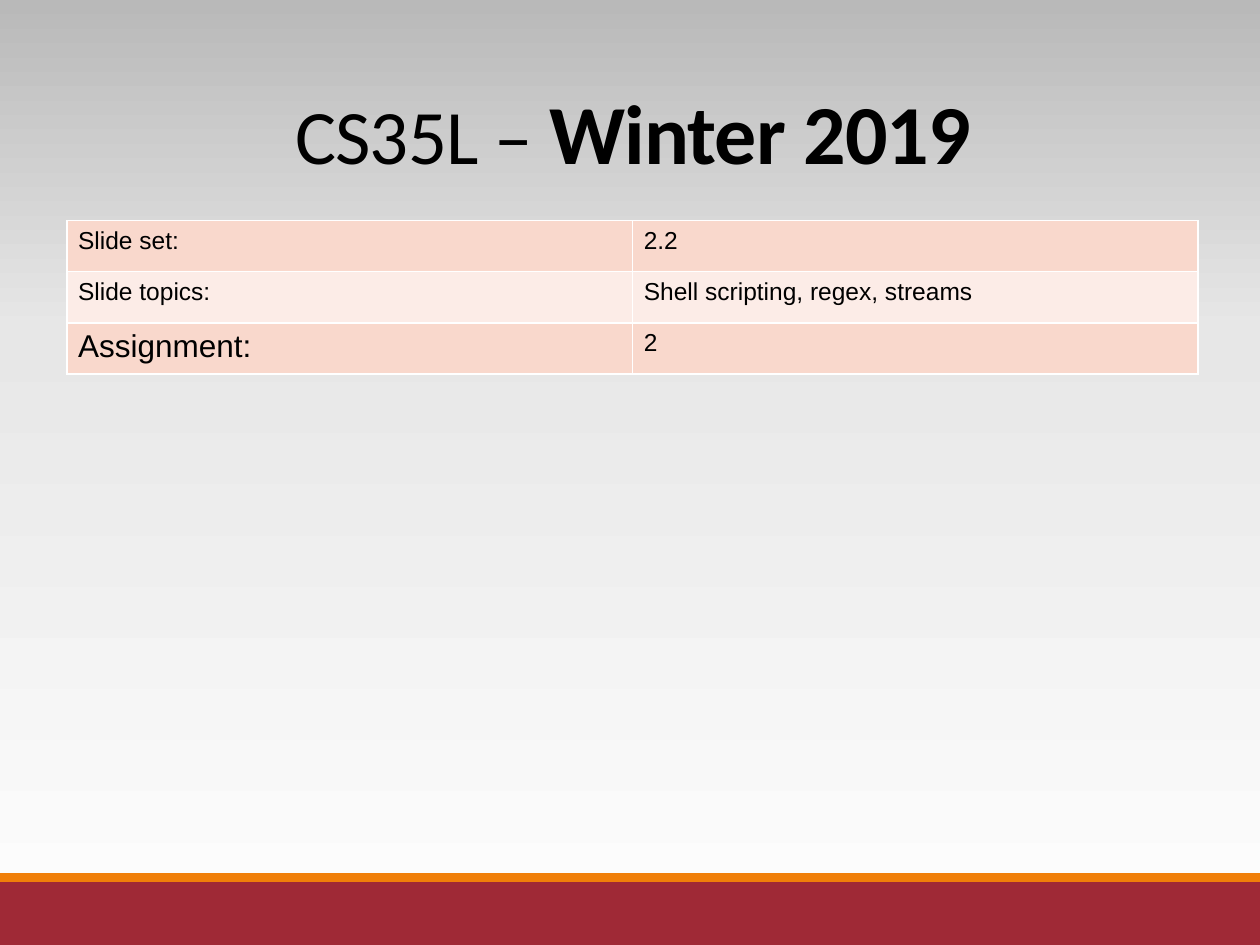
"""Build the course title slide with its slide-set table."""
from copy import deepcopy

from lxml.etree import SubElement
from pptx import Presentation
from pptx.dml.color import RGBColor
from pptx.enum.shapes import MSO_CONNECTOR, MSO_SHAPE
from pptx.enum.text import MSO_ANCHOR, MSO_AUTO_SIZE, PP_ALIGN
from pptx.oxml.ns import qn
from pptx.util import Inches, Pt


def color(value):
    """Return the colour for a hex string."""
    return RGBColor.from_string(value)


def add_borders(cell, value, width):
    """Draw a solid line on all four sides of a cell."""
    properties = cell._tc.get_or_add_tcPr()
    for index, side in enumerate(("a:lnL", "a:lnR", "a:lnT", "a:lnB")):
        line = properties.makeelement(qn(side), {"w": str(Pt(width))})
        properties.insert(index, line)
        solid = SubElement(line, qn("a:solidFill"))
        SubElement(solid, qn("a:srgbClr"), val=value)


presentation = Presentation()
presentation.slide_width = Inches(10)
presentation.slide_height = Inches(7.5)
slide = presentation.slides.add_slide(presentation.slide_layouts[5])

background = slide.background.fill
background.gradient()
background.gradient_angle = 90
stop_list = slide.element.find(".//" + qn("a:gsLst"))
stop_list.append(deepcopy(stop_list[-1]))
stops = ((0, "FEFEFE"), (0.65, "E7E7E7"), (1, "B9B9B9"))
for stop, (position, value) in zip(background.gradient_stops, stops):
    stop.position = position
    stop.color.rgb = color(value)

for top, height, value in ((7, 0.5, "9F2936"), (6.93, 0.07, "F07F09")):
    bar = slide.shapes.add_shape(
        MSO_SHAPE.RECTANGLE, 0, Inches(top), Inches(10), Inches(height))
    bar.shadow.inherit = False
    bar.fill.solid()
    bar.fill.fore_color.rgb = color(value)
    bar.line.fill.background()

rule = slide.shapes.add_connector(
    MSO_CONNECTOR.STRAIGHT, Inches(0.98), Inches(1.9), Inches(9.15), Inches(1.9))
rule.line.color.rgb = color("808080")
rule.line.width = Pt(0.5)
SubElement(rule._element.spPr, qn("a:effectLst"))

title = slide.shapes.title
title.left, title.top = Inches(0.9), Inches(0.31)
title.width, title.height = Inches(8.25), Inches(1.59)
title.text_frame.word_wrap = True
title.text_frame.auto_size = MSO_AUTO_SIZE.NONE
title.text_frame.vertical_anchor = MSO_ANCHOR.MIDDLE
paragraph = title.text_frame.paragraphs[0]
paragraph.alignment = PP_ALIGN.CENTER
paragraph.line_spacing = 0.85
paragraph.font.name = "Calibri"
paragraph.font.color.rgb = color("000000")
for text, size, bold in (("CS35L – ", 44, False), ("Winter 2019", 48, True)):
    run = paragraph.add_run()
    run.text = text
    run.font.size = Pt(size)
    run.font.bold = bold
    run.font.name = "Calibri"
    run.font.color.rgb = color("000000")
    run._r.get_or_add_rPr().set("spc", "-50")

rows = (
    (("Slide set:", 14), ("2.2", 14)),
    (("Slide topics:", 14), ("Shell scripting, regex, streams", 14)),
    (("Assignment:", 18), ("2", 14)),
)
band_fills = ("F9D8CC", "FCECE7")
table = slide.shapes.add_table(
    len(rows), 2, Inches(0.53), Inches(1.75), Inches(8.98), Inches(1.22)).table
table.first_row = False
for row_index, row in enumerate(rows):
    for column_index, (text, size) in enumerate(row):
        cell = table.cell(row_index, column_index)
        cell.text = text
        cell.margin_left = cell.margin_right = Inches(0.09)
        cell.margin_top = cell.margin_bottom = Inches(0.05)
        cell.fill.solid()
        cell.fill.fore_color.rgb = color(band_fills[row_index % 2])
        add_borders(cell, "FFFFFF", 1)
        font = cell.text_frame.paragraphs[0].font
        font.name = "Arial"
        font.size = Pt(size)
        font.color.rgb = color("000000")

presentation.save("out.pptx")
